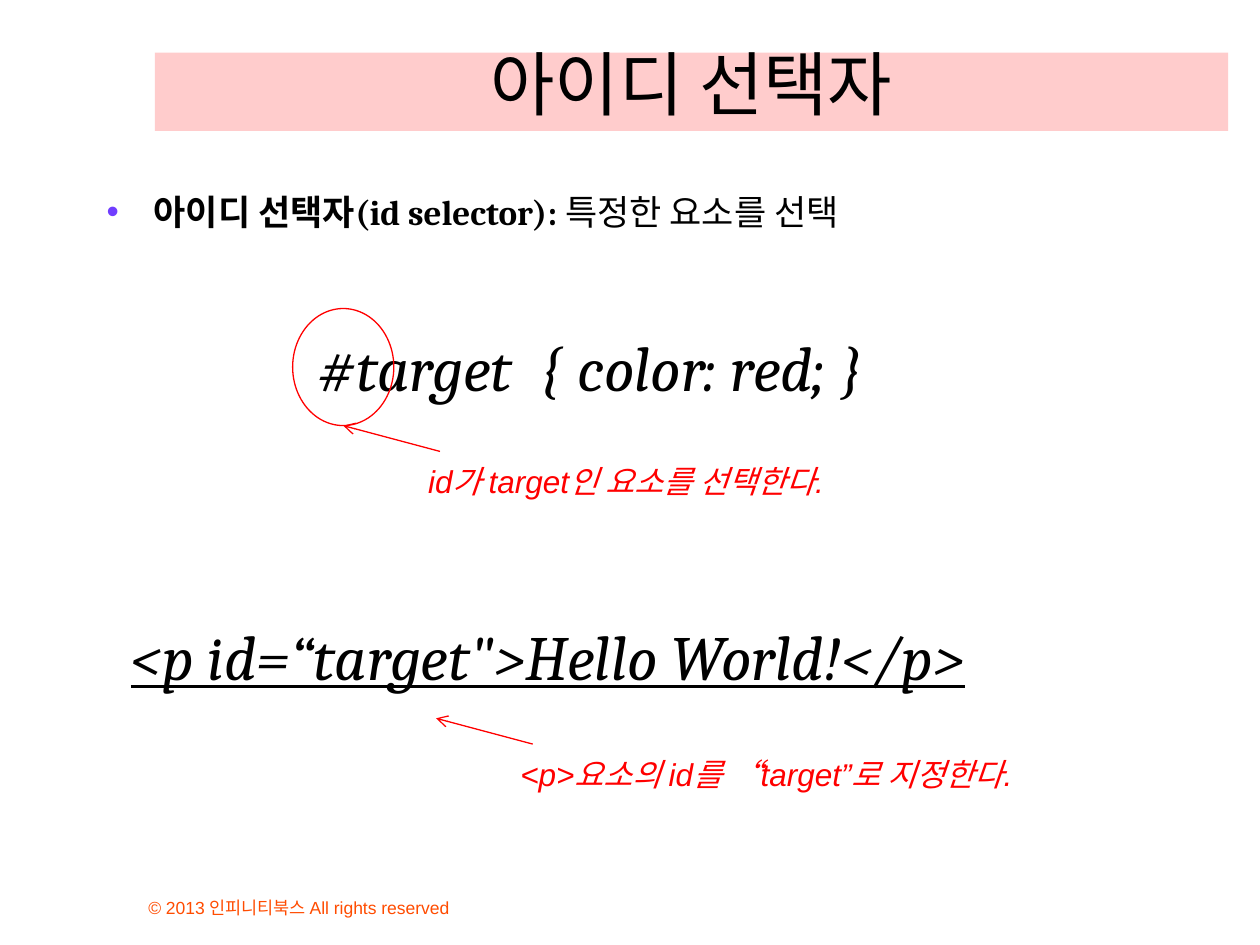
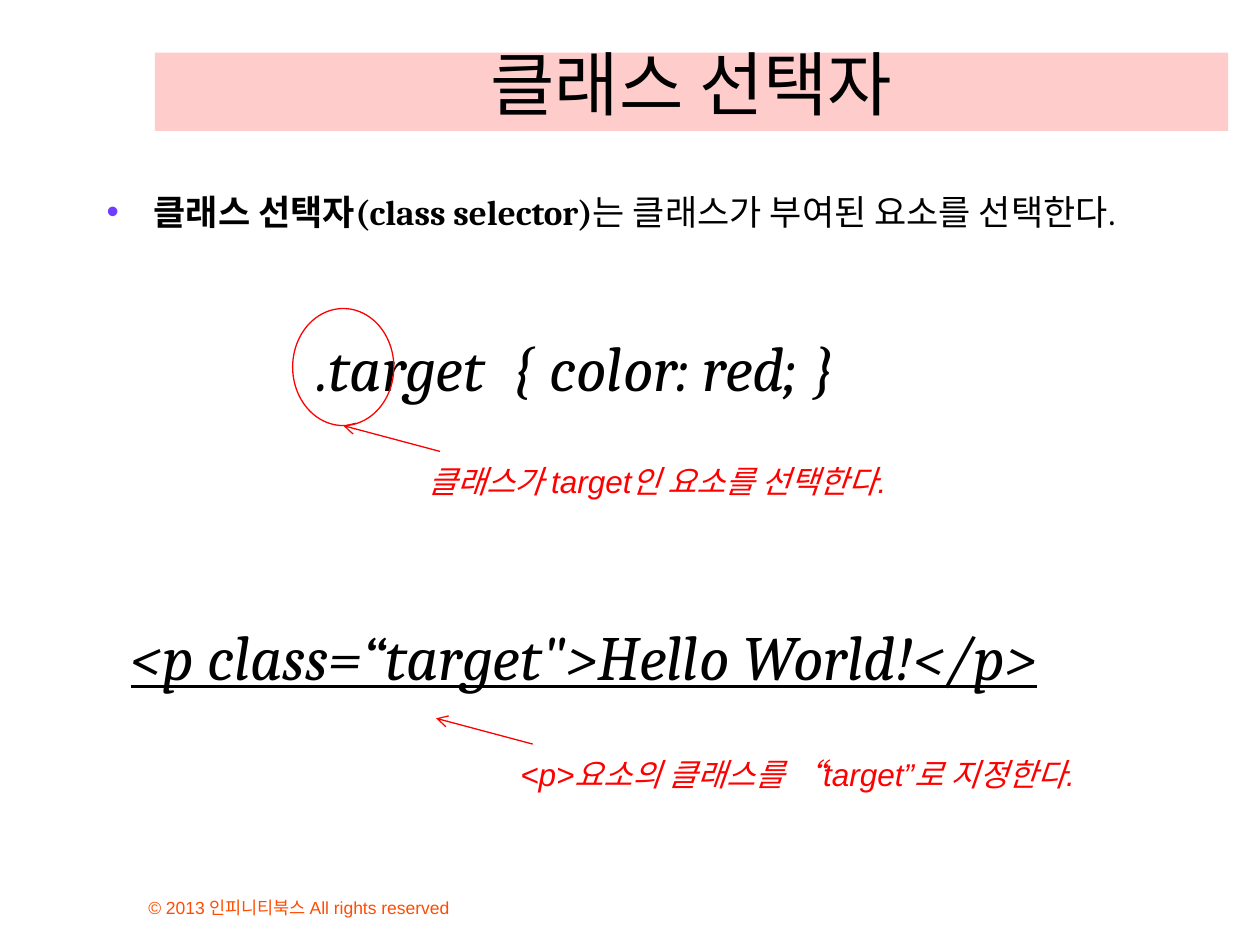
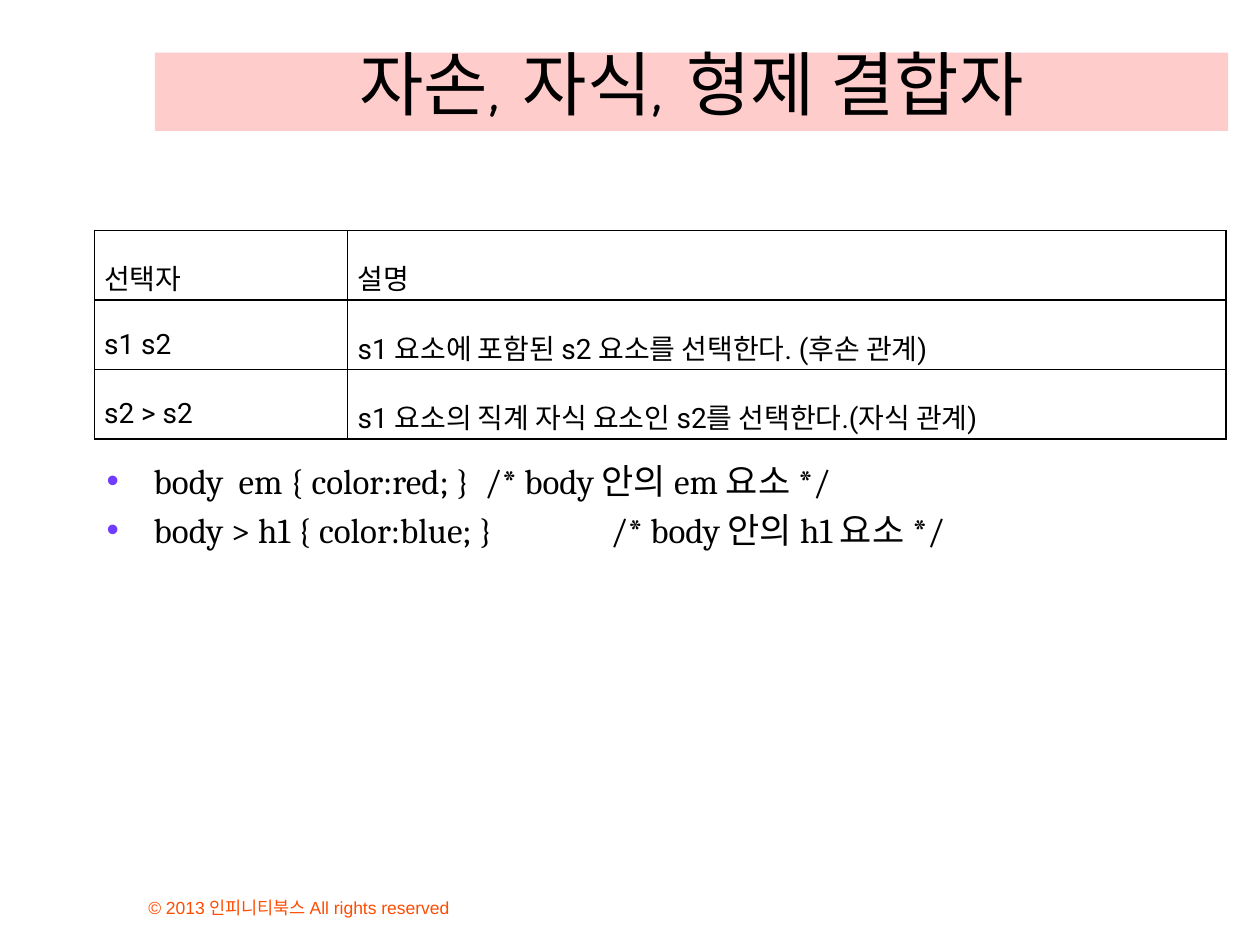
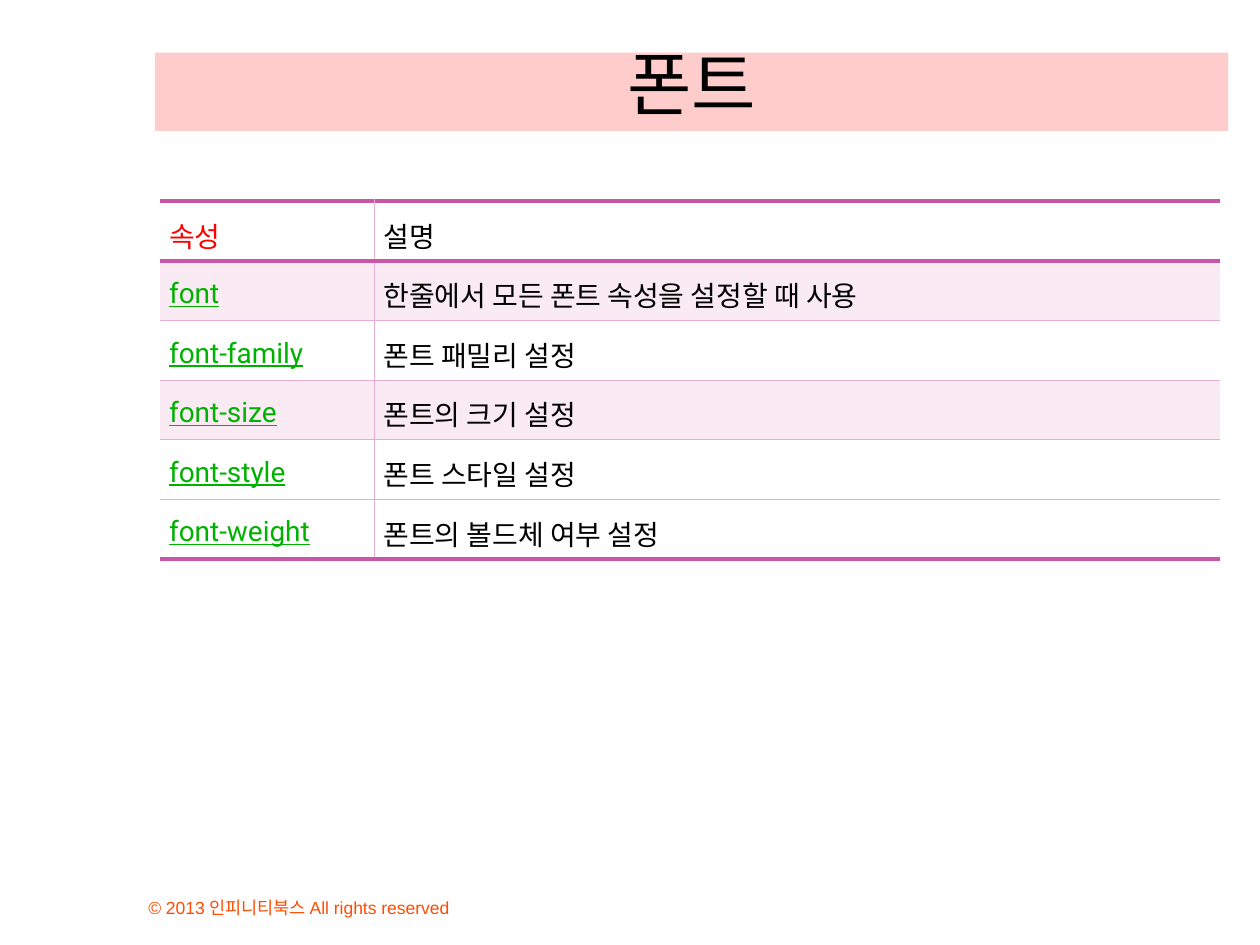
"""Build four lecture slides on CSS selectors and font properties."""
import pptx
import pptx.util
import pptx.dml.color
import pptx.enum.shapes
import pptx.enum.text
import pptx.oxml.ns
from lxml import etree

Cm, Pt = pptx.util.Cm, pptx.util.Pt
ALIGN = pptx.enum.text.PP_ALIGN
ANCHOR = pptx.enum.text.MSO_ANCHOR
FIT = pptx.enum.text.MSO_AUTO_SIZE
SHAPE = pptx.enum.shapes.MSO_SHAPE

INK = {"black": "000000", "red": "FF0000", "orange": "FF4C00", "band": "FFCCCC",
       "bullet": "703DFF", "green": "00B200", "white": "FFFFFF",
       "tint": "F9EAF4", "thick": "CA56A7", "thin": "E5AED4"}
FOOT = "© 2013 인피니티북스 All rights reserved"
SERIF, SANS, GRID = "Cambria", "Arial", "Roboto"
BODY = (1.9, 3.71, 22.81, 11.53)

RULES = [
    {"title": "아이디 선택자",
     "lead": [("아이디 선택자(id selector): ", True), ("특정한 요소를 선택", False)],
     "css": "#target  { color: red; }", "css_w": 12.88,
     "pick": "id가 target인 요소를 선택한다.", "pick_w": 9.14,
     "tag": "<p id=“target\">Hello World!</p>",
     "mark": "<p>요소의 id를 “target”로 지정한다.", "mark_w": 10.77},
    {"title": "클래스 선택자",
     "lead": [("클래스 선택자(class selector)", True),
              ("는 클래스가 부여된 요소를 선택한다.", False)],
     "css": ".target  { color: red; }", "css_w": 12.45,
     "pick": "클래스가 target인 요소를 선택한다.", "pick_w": 10.57,
     "tag": "<p class=“target\">Hello World!</p>",
     "mark": "<p>요소의 클래스를 “target”로 지정한다.", "mark_w": 12.19},
]
JOINS = [("선택자", "설명"),
         ("s1 s2", "s1 요소에 포함된 s2 요소를 선택한다. (후손 관계)"),
         ("s2 > s2", "s1 요소의 직계 자식 요소인 s2를 선택한다.(자식 관계)")]
CODE = ["body  em { color:red; }\t/* body 안의 em 요소 */",
        "body > h1 { color:blue; }\t/* body 안의 h1 요소 */"]
FONTS = [("속성", "설명"),
         ("font", "한줄에서 모든 폰트 속성을 설정할 때 사용"),
         ("font-family", "폰트 패밀리 설정"),
         ("font-size", "폰트의 크기 설정"),
         ("font-style", "폰트 스타일 설정"),
         ("font-weight", "폰트의 볼드체 여부 설정")]


def rgb(name):
    return pptx.dml.color.RGBColor.from_string(INK[name])


def node(host, tag, **attrs):
    return etree.SubElement(host, pptx.oxml.ns.qn("a:" + tag), attrs)


def write(para, text, size, face, color="black", **style):
    run = para.add_run()
    run.text = text
    font = run.font
    font.size, font.name = Pt(size), face
    font.color.rgb = rgb(color)
    for key, value in style.items():
        setattr(font, key, value)


def add_box(slide, spot, fit=FIT.NONE):
    frame = slide.shapes.add_textbox(*map(Cm, spot)).text_frame
    frame.word_wrap, frame.auto_size = True, fit
    return frame


def add_note(slide, spot, text, size, face, color="black", **style):
    frame = add_box(slide, spot, FIT.SHAPE_TO_FIT_TEXT)
    write(frame.paragraphs[0], text, size, face, color, italic=True, **style)


def add_list(slide, spot, items):
    frame = add_box(slide, spot)
    for pos, runs in enumerate(items):
        para = frame.add_paragraph() if pos else frame.paragraphs[0]
        if pos:
            para.space_before = Pt(4)
        props = para._p.get_or_add_pPr()
        for key, value in (("marL", Cm(0.95)), ("indent", Cm(-0.95)),
                           ("defTabSz", Cm(2.54))):
            props.set(key, str(value))
        node(node(props, "buClr"), "srgbClr", val=INK["bullet"])
        node(props, "buFont", typeface=SANS)
        node(props, "buChar", char="•")
        for text, bold in runs:
            write(para, text, 20, SERIF, bold=bold)


def add_arrow(slide, x, y):
    line = slide.shapes.add_connector(
        pptx.enum.shapes.MSO_CONNECTOR.STRAIGHT,
        Cm(x), Cm(y), Cm(x - 1.95), Cm(y - 0.52))
    line.line.color.rgb, line.line.width = rgb("red"), Pt(0.75)
    node(line.line._get_or_add_ln(), "tailEnd", type="arrow")
    node(line._element.spPr, "effectLst")


def start(deck, text, face=SERIF):
    slide = deck.slides.add_slide(deck.slide_layouts[5])
    title = slide.shapes.title
    title.left, title.top, title.width, title.height = map(
        Cm, (3.12, 1.06, 21.64, 1.58))
    title.fill.solid()
    title.fill.fore_color.rgb = rgb("band")
    frame = title.text_frame
    frame.auto_size, frame.vertical_anchor = FIT.NONE, ANCHOR.BOTTOM
    para = frame.paragraphs[0]
    para.alignment = ALIGN.CENTER
    write(para, text, 40, face)
    foot = add_box(slide, (2.74, 17.57, 9.73, 1.06))
    foot.vertical_anchor = ANCHOR.BOTTOM
    write(foot.paragraphs[0], FOOT, 10, SANS, "orange")
    return slide


def edge(cell, side, look):
    color, width = look or (None, 0)
    line = node(cell._tc.get_or_add_tcPr(), "ln" + side, w=str(Pt(width)))
    if color:
        node(node(line, "solidFill"), "srgbClr", val=INK[color])
    else:
        node(line, "noFill")


def add_grid(slide, rows, spot, widths, high, inset, lead, look):
    shape = slide.shapes.add_table(
        len(rows), len(widths), Cm(spot[0]), Cm(spot[1]),
        Cm(sum(widths)), Cm(high * len(rows)))
    table = shape.table
    table.first_row = table.horz_banding = False
    for col, width in zip(table.columns, widths):
        col.width = Cm(width)
    for r, texts in enumerate(rows):
        table.rows[r].height = Cm(high)
        for c, text in enumerate(texts):
            cell = table.cell(r, c)
            edges, fill, color, line, align = look(r, c)
            for side, rule in zip("LRTB", edges):
                edge(cell, side, rule)
            if fill:
                cell.fill.solid()
                cell.fill.fore_color.rgb = rgb(fill)
            else:
                cell.fill.background()
            cell.margin_left = cell.margin_right = Cm(inset)
            cell.margin_top = cell.margin_bottom = Cm(0.05)
            cell.vertical_anchor = ANCHOR.MIDDLE
            para = cell.text_frame.paragraphs[0]
            para.alignment, para.line_spacing = align, lead
            write(para, text, 16, GRID, color, underline=line)


def plain(r, c):
    return [("black", 1)] * 4, None, "black", False, ALIGN.JUSTIFY


def tinted(r, c):
    thick, thin = ("thick", 2.55), ("thin", 0.28)
    edges = (thin if c else None, None if c else thin,
             thick if r < 2 else thin,
             thick if r in (0, len(FONTS) - 1) else thin)
    fill = "tint" if r in (1, 3) else "white"
    color = "black" if c else "green" if r else "red"
    return edges, fill, color, bool(r and not c), ALIGN.JUSTIFY if r else ALIGN.LEFT


def add_rule(deck, rule):
    slide = start(deck, rule["title"])
    add_list(slide, BODY, [rule["lead"]])
    add_note(slide, (6.15, 6.5, rule["css_w"], 1.8), rule["css"], 36, SERIF)
    ring = slide.shapes.add_shape(SHAPE.OVAL, *map(Cm, (5.9, 6.22, 2.04, 2.36)))
    ring.shadow.inherit = False
    ring.fill.background()
    ring.line.color.rgb, ring.line.width = rgb("red"), Pt(0.75)
    add_note(slide, (8.38, 9.19, rule["pick_w"], 1.02), rule["pick"], 18, SANS, "red")
    add_arrow(slide, 8.87, 9.1)
    add_note(slide, (2.39, 12.32, 22.63, 1.8), rule["tag"], 36, SERIF, underline=True)
    add_note(slide, (10.24, 15.09, rule["mark_w"], 1.02), rule["mark"], 18, SANS, "red")
    add_arrow(slide, 10.74, 15)


def main():
    deck = pptx.Presentation()
    deck.slide_width, deck.slide_height = Cm(25.4), Cm(19.05)
    for rule in RULES:
        add_rule(deck, rule)
    slide = start(deck, "자손, 자식, 형제 결합자", "Comic Neue")
    add_grid(slide, JOINS, (1.9, 4.65), (5.11, 17.7), 1.12, 0.2, 1.6, plain)
    add_list(slide, (1.9, 9.14, 22.81, 4.5), [[(line, False)] for line in CODE])
    slide = start(deck, "폰트")
    add_grid(slide, FONTS, (3.23, 4.06), (4.32, 17.05), 1.2, 0.18, 1.2, tinted)
    deck.save("out.pptx")


if __name__ == "__main__":
    main()
